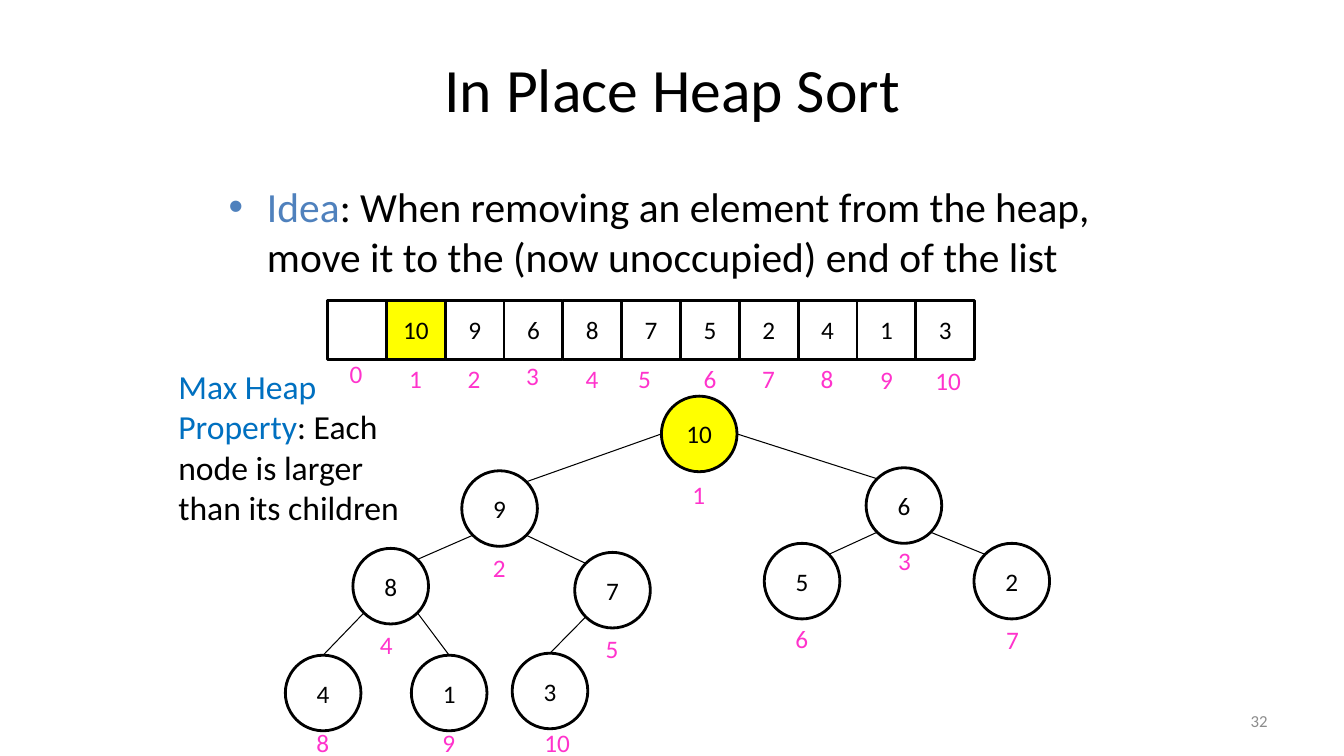
from lxml import etree
from pptx import Presentation
from pptx import util as u
from pptx.dml.color import RGBColor
from pptx.enum import shapes, text
from pptx.oxml.ns import qn

BLACK = RGBColor(0, 0, 0)
WHITE = RGBColor(255, 255, 255)
YELLOW = RGBColor(255, 255, 0)
PINK = RGBColor(0xFF, 0x33, 0xCC)
BLUE = RGBColor(0x4F, 0x81, 0xBD)
AZURE = RGBColor(0, 0x70, 0xC0)
GRAY = RGBColor(0x8C, 0x8C, 0x8C)
LEFT, MID, RIGHT = text.PP_ALIGN.LEFT, text.PP_ALIGN.CENTER, text.PP_ALIGN.RIGHT
TOP, CENTER = text.MSO_ANCHOR.TOP, text.MSO_ANCHOR.MIDDLE
FONT = "Calibri"
CELL = 7 / 12
NODE = 0.75
CORNER = 0.5 ** 1.5

HEAP = [10, 9, 6, 8, 7, 5, 2, 4, 1, 3]
NODES = [(6.56, 3.93), (4.58, 4.67), (8.59, 4.64), (3.5, 5.44), (5.7, 5.48),
         (7.58, 5.39), (9.66, 5.39), (2.83, 6.5), (4.08, 6.5), (5.08, 6.48)]
NODE_TAGS = [(6.77, 4.71), (4.79, 5.43), (8.81, 5.36), (3.67, 6.19), (5.91, 6.23),
             (7.79, 6.13), (9.88, 6.14), (3.04, 7.17), (4.29, 7.17), (5.3, 7.17)]
CELL_TAGS = [(3.37, 3.51), (3.96, 3.56), (4.54, 3.56), (5.12, 3.53), (5.71, 3.56), (6.23, 3.56),
             (6.88, 3.56), (7.46, 3.56), (8.04, 3.56), (8.63, 3.57), (9.18, 3.58)]


def inches(*sizes):
    """Turn numbers into inch lengths."""
    return [u.Inches(size) for size in sizes]


def write(slide, box, runs, size, align=LEFT, anchor=TOP, wrap=True):
    """Add a text box of coloured runs and return its paragraph."""
    frame = slide.shapes.add_textbox(*inches(*box)).text_frame
    frame.word_wrap = wrap
    frame.vertical_anchor = anchor
    if not wrap:
        frame.auto_size = text.MSO_AUTO_SIZE.SHAPE_TO_FIT_TEXT
    para = frame.paragraphs[0]
    para.alignment = align
    para.font.size, para.font.name = u.Pt(size), FONT
    for words, color in runs:
        run = para.add_run()
        run.text = words
        run.font.color.rgb = color
    return para


def tag(slide, spot, index):
    """Write a pink index at its spot."""
    width = 0.33 if index < 10 else 0.46
    write(slide, (*spot, width, 0.4), [(str(index), PINK)], 18, wrap=False)


def outline(parent, kind, box, label, fill):
    """Add a black-edged shape holding a value."""
    shape = parent.add_shape(kind, *inches(*box))
    shape.shadow.inherit = False
    if fill is None:
        shape.fill.background()
    else:
        shape.fill.solid()
        shape.fill.fore_color.rgb = fill
    shape.line.color.rgb = BLACK
    shape.line.width = u.Pt(2)
    frame = shape.text_frame
    frame.margin_left = frame.margin_right = 0
    frame.vertical_anchor = CENTER
    para = frame.paragraphs[0]
    para.text = label
    para.alignment = MID
    para.font.size, para.font.name = u.Pt(18), FONT
    para.font.color.rgb = BLACK


def edge(slide, start, end):
    """Draw a thin line between two points."""
    line = slide.shapes.add_connector(shapes.MSO_CONNECTOR.STRAIGHT, *inches(*start, *end))
    line.line.color.rgb = BLACK
    line.line.width = u.Pt(0.75)
    etree.SubElement(line._element.spPr, qn("a:effectLst"))


def site(node, across, down):
    """Find a point on a node's rim from shares of its size."""
    left, top = NODES[node]
    return left + NODE * (0.5 + across), top + NODE * (0.5 + down)


def tree(slide):
    """Draw the heap as a binary tree with indexed nodes."""
    for child in range(1, len(HEAP)):
        parent = (child - 1) // 2
        side = -1 if child % 2 else 1
        start = site(parent, side * CORNER, CORNER) if parent else site(0, side / 2, 0)
        end = site(child, -side * CORNER, -CORNER) if child < 7 else site(child, 0, -0.5)
        edge(slide, start, end)
    for node, value in enumerate(HEAP):
        outline(slide.shapes, shapes.MSO_SHAPE.OVAL, (*NODES[node], NODE, NODE),
                str(value), WHITE if node else YELLOW)
        tag(slide, NODE_TAGS[node], node + 1)


def array(slide, left, top):
    """Draw the heap as a row of indexed cells."""
    row = slide.shapes.add_group_shape().shapes
    fills = [WHITE, YELLOW] + [None] * 9
    for index, value in enumerate([""] + HEAP):
        box = (left + index * CELL, top, CELL, CELL)
        outline(row, shapes.MSO_SHAPE.RECTANGLE, box, str(value), fills[index])
        tag(slide, CELL_TAGS[index], index)


def idea(slide, box):
    """Write the bulleted idea."""
    para = write(slide, box, [
        ("Idea", BLUE),
        (": When removing an element from the heap, "
         "move it to the (now unoccupied) end of the list", BLACK)], 29.6)
    para.space_before = u.Pt(5.9)
    props = para._p.get_or_add_pPr()
    props.set("marL", str(u.Inches(0.38)))
    props.set("indent", str(-u.Inches(0.38)))
    etree.SubElement(props, qn("a:buFont"), typeface="Arial")
    etree.SubElement(props, qn("a:buChar"), char="•")
    props.append(props.find(qn("a:defRPr")))


def main():
    """Build and save the slide."""
    deck = Presentation()
    deck.slide_width, deck.slide_height = inches(13.33, 7.5)
    slide = deck.slides.add_slide(deck.slide_layouts[6])
    write(slide, (2.17, 0.25, 9, 1.25), [("In Place Heap Sort", BLACK)], 44, MID, CENTER)
    idea(slide, (2.17, 1.75, 9, 1.17))
    write(slide, (9.56, 6.95, 3.11, 0.4), [("32", GRAY)], 12, RIGHT, CENTER)
    tree(slide)
    array(slide, 3.25, 2.98)
    write(slide, (1.67, 3.58, 2.42, 1.72), [
        ("Max Heap Property", AZURE),
        (": Each node is larger than its children", BLACK)], 24)
    deck.save("out.pptx")


if __name__ == "__main__":
    main()
